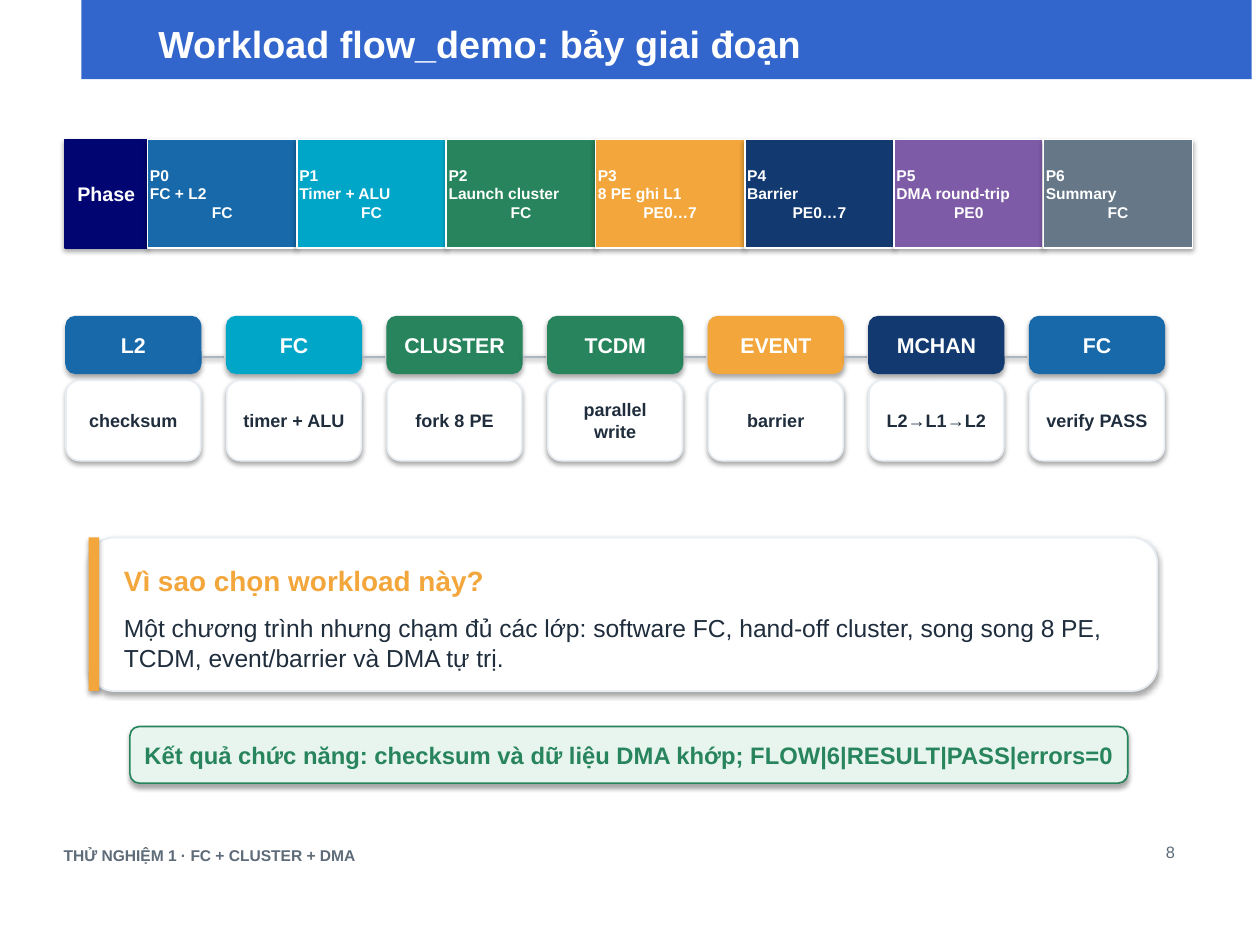
from pptx import Presentation
from pptx import util as u
from pptx.dml.color import RGBColor
from pptx.enum import shapes, text

COLORS = {
    "banner": "3366CC", "navy": "000572", "blue": "1769AA", "cyan": "00A6C8",
    "green": "27845C", "orange": "F2A63B", "indigo": "123A70", "purple": "7D5BA6",
    "slate": "667788", "white": "FFFFFF", "border": "E8EDF3", "link": "AAB5C0",
    "ink": "1F2D3D", "muted": "5E6B78", "mint": "E7F5EE",
}
RECT = shapes.MSO_SHAPE.RECTANGLE
ROUND = shapes.MSO_SHAPE.ROUNDED_RECTANGLE
LEFT, CENTER, RIGHT = text.PP_ALIGN.LEFT, text.PP_ALIGN.CENTER, text.PP_ALIGN.RIGHT
TOP, MIDDLE = text.MSO_ANCHOR.TOP, text.MSO_ANCHOR.MIDDLE


def color(name):
    return RGBColor.from_string(COLORS[name])


class SlideBuilder:
    font = "Arial"

    def __init__(self, slide):
        self.slide = slide

    def set_text(self, shape, content, size, ink, bold=True, aligns=(CENTER,),
                 anchor=MIDDLE, inset=0.08):
        frame = shape.text_frame
        frame.text = content
        frame.word_wrap = True
        frame.auto_size = text.MSO_AUTO_SIZE.NONE
        frame.vertical_anchor = anchor
        frame.margin_left = frame.margin_right = u.Inches(inset)
        frame.margin_top = frame.margin_bottom = u.Inches(inset)
        for paragraph, align in zip(frame.paragraphs, aligns):
            paragraph.alignment = align
            for run in paragraph.runs:
                run.font.name = self.font
                run.font.size = u.Pt(size)
                run.font.bold = bold
                run.font.color.rgb = color(ink)

    def box(self, kind, x, y, w, h, fill, line=None, line_width=1):
        shape = self.slide.shapes.add_shape(kind, *map(u.Inches, (x, y, w, h)))
        shape.fill.solid()
        shape.fill.fore_color.rgb = color(fill)
        if line:
            shape.line.color.rgb = color(line)
            shape.line.width = u.Pt(line_width)
        else:
            shape.line.fill.background()
        return shape

    def label(self, x, y, w, h, content, size, ink, bold=True, align=LEFT):
        box = self.slide.shapes.add_textbox(*map(u.Inches, (x, y, w, h)))
        self.set_text(box, content, size, ink, bold, (align,), TOP)

    def link(self, x1, x2, y):
        line = self.slide.shapes.add_connector(
            shapes.MSO_CONNECTOR.STRAIGHT, *map(u.Inches, (x1, y, x2, y)))
        line.line.color.rgb = color("link")
        line.line.width = u.Pt(1.4)

    def title(self, x, y, w, h, content):
        title = self.slide.shapes.title
        title.left, title.top, title.width, title.height = map(u.Inches, (x, y, w, h))
        self.set_text(title, content, 23, "white", aligns=(LEFT,), inset=0.02)
        # Bring the title in front of the banner
        self.slide.shapes.element.append(title.element)


PHASES = [
    ("FC + L2", "FC", "blue"),
    ("Timer + ALU", "FC", "cyan"),
    ("Launch cluster", "FC", "green"),
    ("8 PE ghi L1", "PE0…7", "orange"),
    ("Barrier", "PE0…7", "indigo"),
    ("DMA round-trip", "PE0", "purple"),
    ("Summary", "FC", "slate"),
]
STAGES = [
    ("L2", "checksum", "blue"),
    ("FC", "timer + ALU", "cyan"),
    ("CLUSTER", "fork 8 PE", "green"),
    ("TCDM", "parallel write", "green"),
    ("EVENT", "barrier", "orange"),
    ("MCHAN", "L2→L1→L2", "indigo"),
    ("FC", "verify PASS", "blue"),
]


def main():
    prs = Presentation()
    prs.slide_width, prs.slide_height = u.Inches(10.67), u.Inches(8)
    page = SlideBuilder(prs.slides.add_slide(prs.slide_layouts[5]))

    # Banner and title
    banner = page.box(RECT, 0.69, 0, 9.91, 0.67, "banner")
    banner.shadow.inherit = False
    page.title(1.32, 0.09, 8.55, 0.56, "Workload flow_demo: bảy giai đoạn")

    # Footer
    page.label(0.46, 7.08, 4.5, 0.23, "THỬ NGHIỆM 1 · FC + CLUSTER + DMA", 9.5, "muted")
    page.label(9.75, 7.05, 0.28, 0.28, "8", 10, "muted", False, RIGHT)

    # Phase strip
    heading = page.box(RECT, 0.55, 1.18, 0.7, 0.92, "navy", "navy")
    page.set_text(heading, "Phase", 12, "white")
    phase_width = (10.1 - 1.25) / len(PHASES)
    for i, (task, unit, fill) in enumerate(PHASES):
        phase = page.box(RECT, 1.25 + i * phase_width, 1.18, phase_width, 0.92,
                         fill, "white")
        page.set_text(phase, f"P{i}\n{task}\n{unit}", 9.5, "white",
                      aligns=(LEFT, LEFT, CENTER), inset=0.02)

    # Stage chain
    stage_pitch, stage_width = 1.36, 1.14
    for i, (block, action, fill) in enumerate(STAGES):
        x = 0.56 + i * stage_pitch
        head = page.box(ROUND, x, 2.68, stage_width, 0.48, fill, fill)
        page.set_text(head, block, 13, "white")
        card = page.box(ROUND, x, 3.22, stage_width, 0.68, "white", "border")
        page.set_text(card, action, 11, "ink")
        if i < len(STAGES) - 1:
            page.link(x + 1.15, x + 1.34, 3.02)

    # Rationale panel
    page.box(ROUND, 0.75, 4.55, 9.05, 1.3, "white", "border", 1.1)
    page.box(RECT, 0.75, 4.55, 0.09, 1.3, "orange")
    page.label(0.97, 4.69, 8.7, 0.34, "Vì sao chọn workload này?", 17, "orange")
    page.label(0.97, 5.11, 8.7, 0.62,
               "Một chương trình nhưng chạm đủ các lớp: software FC, hand-off cluster, "
               "song song 8 PE, TCDM, event/barrier và DMA tự trị.", 15, "ink", False)

    # Result
    result = page.box(ROUND, 1.1, 6.15, 8.45, 0.48, "mint", "green")
    page.set_text(result, "Kết quả chức năng: checksum và dữ liệu DMA khớp; "
                  "FLOW|6|RESULT|PASS|errors=0", 14.5, "green")

    prs.save("out.pptx")


if __name__ == "__main__":
    main()
